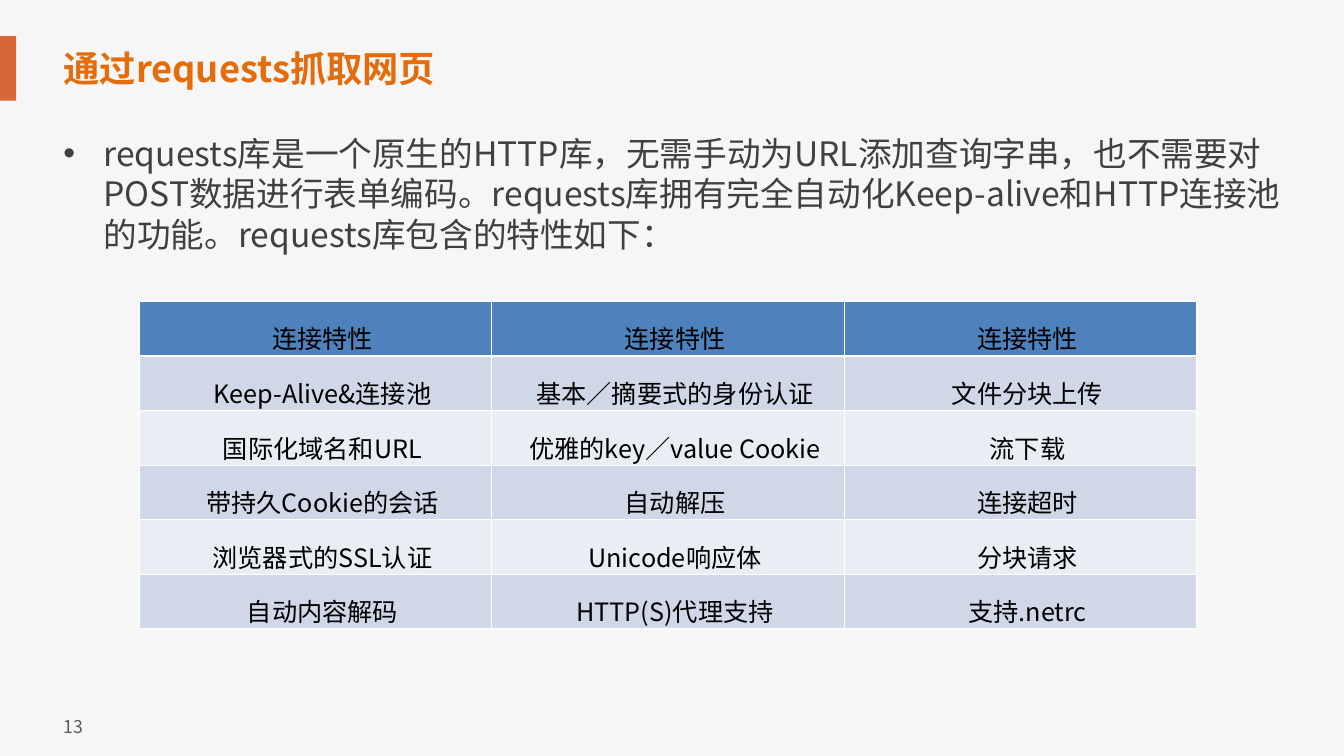
"""Build the slide on fetching web pages with requests."""
from pptx import Presentation
from pptx.dml.color import RGBColor
from pptx.enum.shapes import MSO_SHAPE
from pptx.enum.text import MSO_ANCHOR as ANCHOR, PP_ALIGN as ALIGN
from pptx.oxml import parse_xml
from pptx.oxml.ns import nsdecls
from pptx.util import Inches, Pt

FONT = "Noto Sans CJK SC"


def rgb(color):
    return RGBColor.from_string(color)


def write(p, text, size, color, bold=False):
    r = p.add_run()
    r.text = text
    for name, value in {"name": FONT, "size": Pt(size), "bold": bold}.items():
        setattr(r.font, name, value)
    r.font.color.rgb = rgb(color)
    r._r.get_or_add_rPr().append(parse_xml(f'<a:ea {nsdecls("a")} typeface="{FONT}"/>'))


prs = Presentation()
prs.slide_width, prs.slide_height = Inches(13.33), Inches(7.5)
s = prs.slides.add_slide(prs.slide_layouts[5])
s.background.fill.solid()
s.background.fill.fore_color.rgb = rgb("F6F6F6")

bar = s.shapes.add_shape(MSO_SHAPE.RECTANGLE, Inches(-0.09), Inches(0.36), Inches(0.25), Inches(0.64))
bar.shadow.inherit = False
bar.fill.solid()
bar.fill.fore_color.rgb = rgb("D76739")
bar.line.fill.background()

number = s.shapes.add_textbox(Inches(0.53), Inches(7.05), Inches(0.44), Inches(0.31))
number.text_frame.word_wrap = False
write(number.text_frame.paragraphs[0], "13", 12.6, "595959")

title = s.shapes.title
frame = {"left": 0.53, "top": 0.39, "width": 9.36, "height": 0.57}
for name, value in frame.items():
    setattr(title, name, Inches(value))
title.text_frame.vertical_anchor = ANCHOR.MIDDLE
p = title.text_frame.paragraphs[0]
p.alignment = ALIGN.LEFT
write(p, "通过requests抓取网页", 25.9, "E46C0A", True)

body = s.shapes.add_textbox(Inches(0.53), Inches(1.27), Inches(12.29), Inches(5.68))
body.text_frame.word_wrap = True
p = body.text_frame.paragraphs[0]
for name, value in {"space_before": Pt(7.2), "space_after": Pt(7.2), "line_spacing": 1.0}.items():
    setattr(p, name, value)
pPr = p._p.get_or_add_pPr()
pPr.set("marL", str(Inches(0.4)))
pPr.set("indent", str(Inches(-0.4)))
pPr.append(parse_xml(f'<a:buFont {nsdecls("a")} typeface="Arial"/>'))
pPr.append(parse_xml(f'<a:buChar {nsdecls("a")} char="•"/>'))
write(p, "requests库是一个原生的HTTP库，无需手动为URL添加查询字串，也不需要对POST数据进行表单编码。"
         "requests库拥有完全自动化Keep-alive和HTTP连接池的功能。requests库包含的特性如下：", 24, "404040")

features = [
    ["连接特性"] * 3,
    ["Keep-Alive&连接池", "基本∕摘要式的身份认证", "文件分块上传"],
    ["国际化域名和URL", "优雅的key∕value Cookie", "流下载"],
    ["带持久Cookie的会话", "自动解压", "连接超时"],
    ["浏览器式的SSL认证", "Unicode响应体", "分块请求"],
    ["自动内容解码", "HTTP(S)代理支持", "支持.netrc"],
]
cell_format = {
    "vertical_anchor": ANCHOR.MIDDLE,
    "margin_left": Inches(0.05), "margin_right": Inches(0.05),
    "margin_top": 0, "margin_bottom": 0,
}
table = s.shapes.add_table(6, 3, Inches(1.38), Inches(2.99), Inches(10.49), Inches(3.25)).table
for i, row in enumerate(features):
    fill = "4F81BD" if i == 0 else ("E9EDF4", "D0D8E8")[i % 2]
    for j, text in enumerate(row):
        cell = table.cell(i, j)
        for name, value in cell_format.items():
            setattr(cell, name, value)
        tcPr = cell._tc.get_or_add_tcPr()
        for side in "LRTB":
            tcPr.append(parse_xml(
                f'<a:ln{side} {nsdecls("a")} w="{Pt(1)}"><a:solidFill>'
                f'<a:srgbClr val="FFFFFF"/></a:solidFill></a:ln{side}>'))
        cell.fill.solid()
        cell.fill.fore_color.rgb = rgb(fill)
        p = cell.text_frame.paragraphs[0]
        p.alignment = ALIGN.CENTER
        p.line_spacing = 1.5
        p._p.get_or_add_pPr().set("indent", str(Inches(0.14)))
        write(p, text, 18, "000000")

prs.save("out.pptx")
